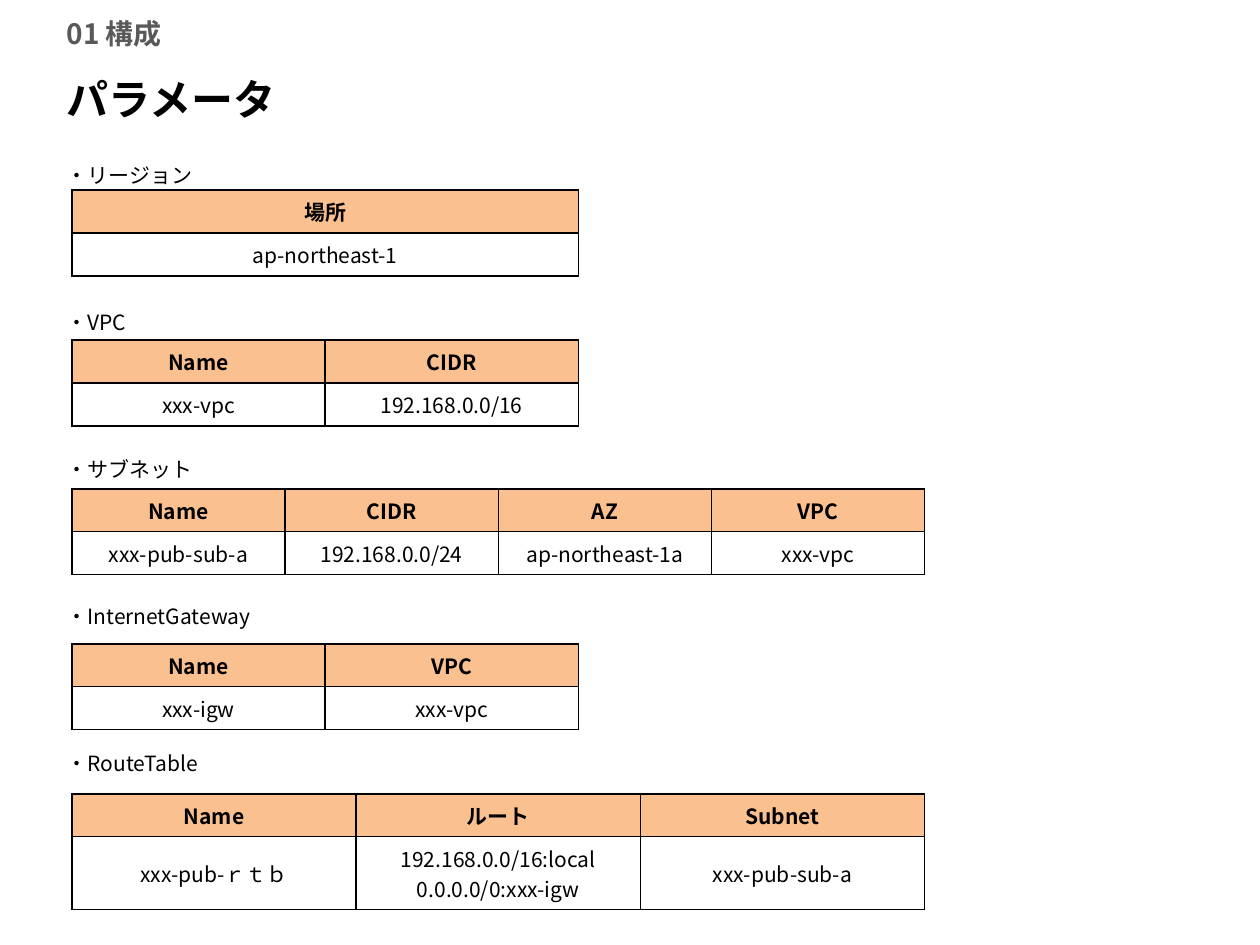
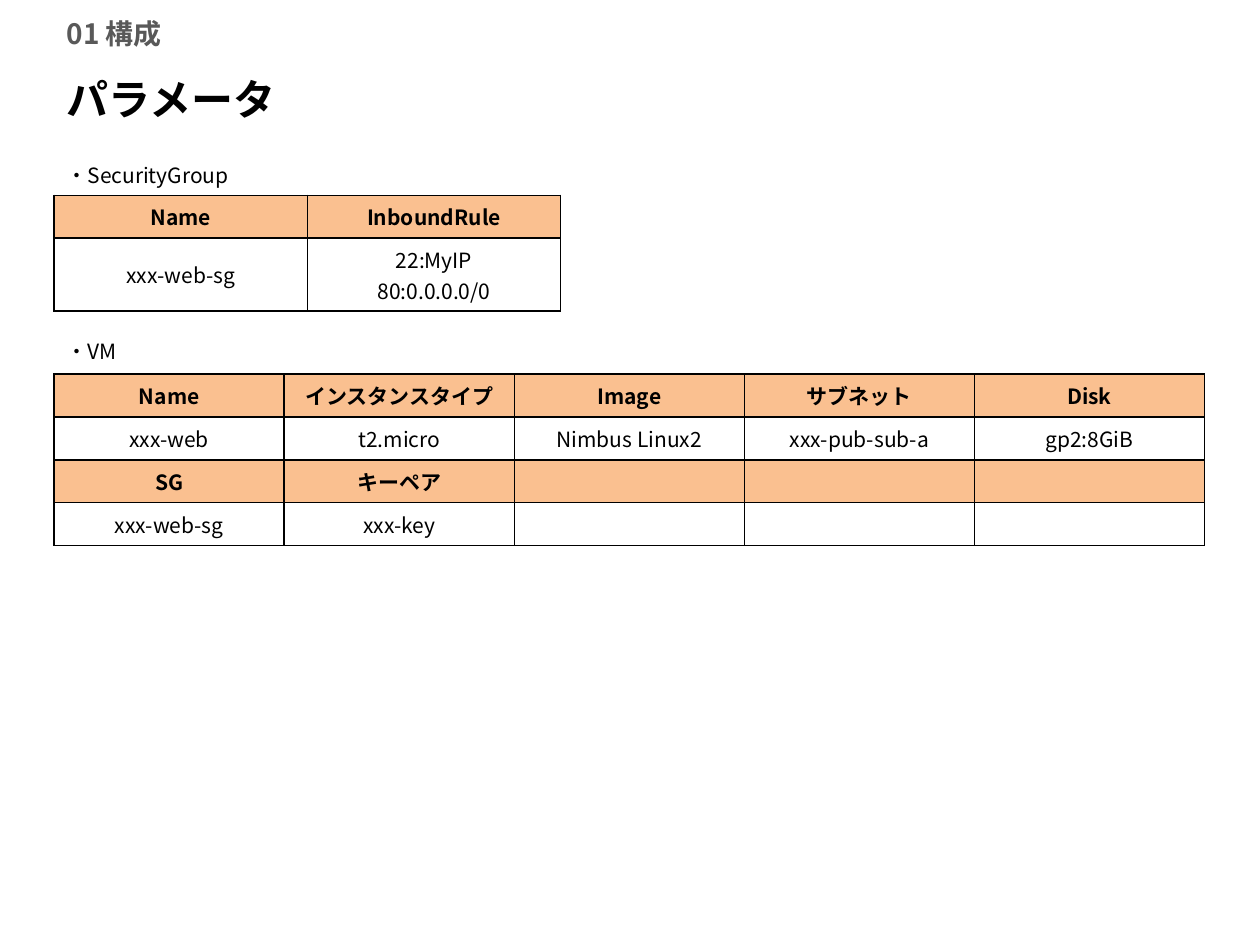
"""Builds two slides of network and server parameters."""
from pptx import Presentation
from pptx import util as u
from pptx.dml.color import RGBColor
from pptx.enum import text
from pptx.oxml import parse_xml
from pptx.oxml import ns

BLACK = RGBColor(0x00, 0x00, 0x00)
GRAY = RGBColor(0x59, 0x59, 0x59)
ORANGE = RGBColor(0xFA, 0xC0, 0x90)
WHITE = RGBColor(0xFF, 0xFF, 0xFF)

COLUMNS, ROWS = 100, 75
TEXT_LEFT = 4.3
ROW_HEIGHT, EXTRA_LINE = 3.4, 2.4
LINE_HEIGHT, LINE_PITCH = 15, 16.8
NARROW, MEDIUM, WIDE = 40.2, 67.7, 91.3

SECTION = {"size": u.Pt(16), "bold": True, "color": GRAY}
TITLE = {"size": u.Pt(24), "bold": True, "color": BLACK}
BODY = {"size": u.Pt(12), "bold": False, "color": BLACK}
HEADER = {**BODY, "bold": True}


class ParameterDeck:
    """Holds the style and the current slide."""

    font_name = "Noto Sans CJK JP"

    def __init__(self):
        self.presentation = Presentation()
        self.presentation.slide_width = u.Inches(10)
        self.presentation.slide_height = u.Inches(7.5)
        self.slide = None

    def x(self, columns):
        return round(self.presentation.slide_width * columns / COLUMNS)

    def y(self, rows):
        return round(self.presentation.slide_height * rows / ROWS)

    def style(self, paragraph, formats):
        for run in paragraph.runs:
            for name, value in formats.items():
                if name == "color":
                    run.font.color.rgb = value
                else:
                    setattr(run.font, name, value)
            run.font.name = self.font_name
            run.font._element.append(parse_xml(
                f'<a:ea {ns.nsdecls("a")} typeface="{self.font_name}"/>'))

    def text_box(self, lines, top, width, height, formats, anchor):
        shape = self.slide.shapes.add_textbox(
            self.x(TEXT_LEFT), self.y(top), self.x(width), self.y(height))
        frame = shape.text_frame
        frame.word_wrap = True
        frame.vertical_anchor = anchor
        frame.text = "\n".join(lines)
        for paragraph in frame.paragraphs:
            self.style(paragraph, formats)
        return frame.paragraphs

    def add_slide(self):
        self.slide = self.presentation.slides.add_slide(
            self.presentation.slide_layouts[6])
        middle = text.MSO_ANCHOR.MIDDLE
        self.text_box(["01 構成"], 0, 29.1, 5.3, SECTION, middle)
        self.text_box(["パラメータ"], 4.6, 83.8, 6.4, TITLE, middle)

    def labels(self, names, lines_apart):
        paragraphs = self.text_box([f"・{name}" for name in names], 12.3, 91.9, 59.1,
                                   BODY, text.MSO_ANCHOR.TOP)
        for index, paragraph in enumerate(paragraphs):
            paragraph.line_spacing = u.Pt(LINE_HEIGHT)
            if index:
                paragraph.space_before = u.Pt(lines_apart * LINE_PITCH - LINE_HEIGHT)

    def border(self, cell):
        properties = cell._tc.get_or_add_tcPr()
        for index, side in enumerate("LRTB"):
            properties.insert(index, parse_xml(
                f'<a:ln{side} {ns.nsdecls("a")} w="{u.Pt(1)}"><a:solidFill>'
                f'<a:srgbClr val="{BLACK}"/></a:solidFill></a:ln{side}>'))

    def cell(self, cell, words, is_header):
        cell.text = words
        cell.vertical_anchor = text.MSO_ANCHOR.MIDDLE
        cell.fill.solid()
        cell.fill.fore_color.rgb = ORANGE if is_header else WHITE
        self.border(cell)
        formats = HEADER if is_header else BODY
        for paragraph in cell.text_frame.paragraphs:
            paragraph.alignment = text.PP_ALIGN.CENTER
            self.style(paragraph, formats)
            if not words:
                paragraph._p.get_or_add_endParaRPr().set(
                    "sz", str(round(formats["size"].pt * 100)))

    def table(self, left, top, width, records):
        """Draws records whose even rows are headers."""
        column_count = len(records[0])
        heights = [ROW_HEIGHT + EXTRA_LINE * max(words.count("\n") for words in record)
                   for record in records]
        table = self.slide.shapes.add_table(
            len(records), column_count, self.x(left), self.y(top),
            self.x(width), self.y(sum(heights))).table
        for column in table.columns:
            column.width = self.x(width / column_count)
        for index, (record, height) in enumerate(zip(records, heights)):
            table.rows[index].height = self.y(height)
            for column, words in enumerate(record):
                self.cell(table.cell(index, column), words, index % 2 == 0)


def main():
    """Builds and saves both slides."""
    deck = ParameterDeck()

    deck.add_slide()
    deck.labels(["リージョン", "VPC", "サブネット", "InternetGateway", "RouteTable"], 5)
    for top, width, records in [
        (15.1, NARROW, [["場所"], ["ap-northeast-1"]]),
        (27, NARROW, [["Name", "CIDR"], ["xxx-vpc", "192.168.0.0/16"]]),
        (38.8, MEDIUM, [["Name", "CIDR", "AZ", "VPC"],
                        ["xxx-pub-sub-a", "192.168.0.0/24", "ap-northeast-1a", "xxx-vpc"]]),
        (51.1, NARROW, [["Name", "VPC"], ["xxx-igw", "xxx-vpc"]]),
        (63, MEDIUM, [["Name", "ルート", "Subnet"],
                      ["xxx-pub-ｒｔｂ", "192.168.0.0/16:local\n0.0.0.0/0:xxx-igw",
                       "xxx-pub-sub-a"]]),
    ]:
        deck.table(5.7, top, width, records)

    deck.add_slide()
    deck.labels(["SecurityGroup", "VM"], 6)
    deck.table(TEXT_LEFT, 15.5, NARROW, [
        ["Name", "InboundRule"],
        ["xxx-web-sg", "22:MyIP\n80:0.0.0.0/0"]])
    deck.table(TEXT_LEFT, 29.7, WIDE, [
        ["Name", "インスタンスタイプ", "Image", "サブネット", "Disk"],
        ["xxx-web", "t2.micro", "Nimbus Linux2", "xxx-pub-sub-a", "gp2:8GiB"],
        ["SG", "キーペア", "", "", ""],
        ["xxx-web-sg", "xxx-key", "", "", ""]])

    deck.presentation.save("out.pptx")


if __name__ == "__main__":
    main()
